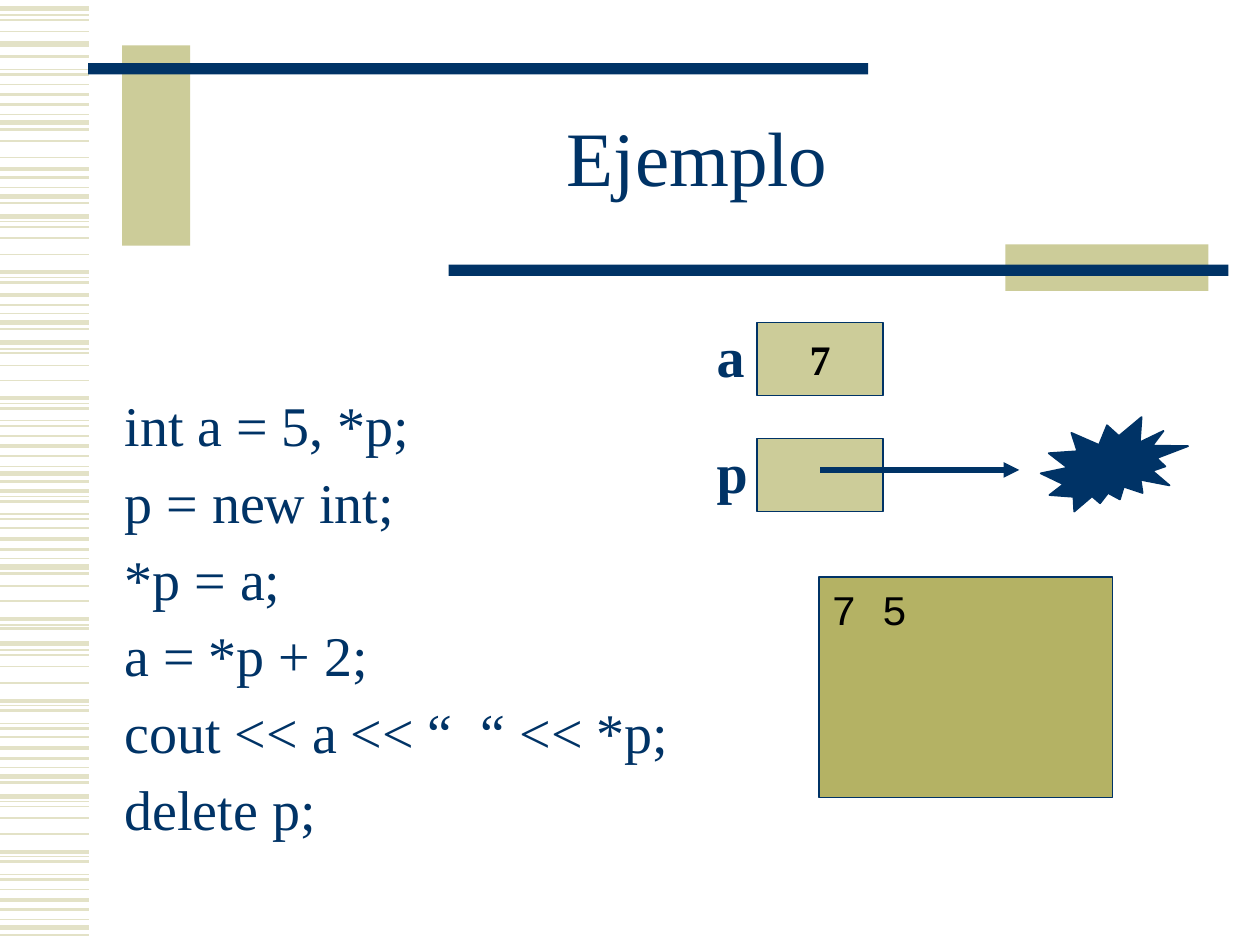
from lxml.etree import SubElement
from pptx import Presentation
from pptx.dml.color import RGBColor
from pptx.enum.shapes import MSO_CONNECTOR as Connector, MSO_SHAPE as Shape
from pptx.enum.text import MSO_ANCHOR as Anchor, PP_ALIGN as Align
from pptx.oxml.ns import qn
from pptx.util import Inches, Pt

THEME = {
    "navy": "003366", "sand": "CCCC99", "olive": "B4B264",
    "stripe": "E3E2C7", "black": "000000",
    "serif": "Times New Roman", "mono": "Courier New",
    "title": 44, "code": 32, "value": 24,
    "outline": 1, "pointer": 3,
}

WIDTH, HEIGHT = Inches(10), Inches(7.5)
COLUMNS, ROWS = 100, 75

TITLE = "Ejemplo"
CODE = [
    "int a = 5, *p;",
    "p = new int;",
    "*p = a;",
    "a = *p + 2;",
    "cout << a << “  “ << *p;",
    "delete p;",
]
OUTPUT = "7 5"
VARIABLES = [("a", "7", 25.6), ("p", "", 34.8)]

STRIPE_END = 7.1
STRIPE_ROWS = {
    0.75: [1.2, 5.5, 9.1, 14.9, 17.6, 22, 24.9, 27.7, 32, 33.4, 37, 39.4, 40.8,
           44.3, 49.6, 51.6, 56, 57.4, 60.9, 63.6, 68, 69.4, 73],
    1: [1.6, 2.5, 6.7, 11.2, 12.5, 18, 18.9, 20.2, 28, 29, 30.2, 34.6, 41.9,
        46.5, 47.7, 52, 52.9, 54.2, 58.5, 64, 64.9, 66.2, 70.6],
    1.5: [4.5, 5.9, 8.3, 10.3, 14.1, 16.1, 22.4, 24.2, 26.1, 32.4, 33.8, 36.2,
          38.2, 39.8, 41.2, 43.6, 45.5, 49.9, 56.4, 57.8, 60.2, 62.1, 68.4,
          69.8, 72.2, 74.2],
    2.25: [7.5, 13.4, 21.6, 23.4, 31.6, 35.4, 39, 42.8, 49.1, 55.6, 59.4,
           67.6, 71.4],
    3: [0.7, 3.5, 9.7, 15.6, 17.2, 25.6, 27.2, 37.6, 45, 51.1, 61.6, 63.2, 73.6],
}
BANDS = [
    ("sand", 9.7, 3.6, 5.4, 15.9),
    ("navy", 7, 5, 61.9, 0.9),
    ("sand", 79.8, 19.4, 16.1, 3.7),
    ("navy", 35.6, 21, 61.9, 0.9),
]
CELL_LEFT, CELL_WIDTH, CELL_HEIGHT = 60.1, 10, 5.8
LABEL_LEFT, LABEL_WIDTH, LABEL_HEIGHT, LABEL_RISE = 55.9, 4.3, 6.4, 0.55
POINTER_ROW, POINTER_END = 37.3, 80.9


def color(name):
    return RGBColor.from_string(THEME[name])


def col(count):
    return round(WIDTH * count / COLUMNS)


def row(count):
    return round(HEIGHT * count / ROWS)


def area(left, top, width, height):
    return col(left), row(top), col(width), row(height)


def add_block(slide, place, fill, outline=None, kind=Shape.RECTANGLE):
    block = slide.shapes.add_shape(kind, *area(*place))
    block.shadow.inherit = False
    block.fill.solid()
    block.fill.fore_color.rgb = color(fill)
    if outline:
        block.line.color.rgb = color(outline)
        block.line.width = Pt(THEME["outline"])
    else:
        block.line.fill.background()
    return block


def add_rule(slide, start, end, tone, weight):
    rule = slide.shapes.add_connector(
        Connector.STRAIGHT, col(start[0]), row(start[1]), col(end[0]), row(end[1]))
    rule.line.color.rgb = color(tone)
    rule.line.width = Pt(weight)
    SubElement(rule._element.spPr, qn("a:effectLst"))
    return rule


def write(holder, lines, size, tone="navy", face="serif", bold=False,
          align=Align.LEFT, anchor=Anchor.TOP, spacing=1, gap=0, wrap=True):
    frame = holder.text_frame
    frame.text = "\n".join(lines)
    frame.word_wrap = wrap
    frame.vertical_anchor = anchor
    for index, paragraph in enumerate(frame.paragraphs):
        paragraph.alignment = align
        paragraph.line_spacing = spacing
        paragraph.space_before = Pt(gap if index else 0)
        for run in paragraph.runs:
            run.font.name = THEME[face]
            run.font.size = Pt(THEME[size])
            run.font.bold = bold
            run.font.color.rgb = color(tone)


def add_background(slide):
    for weight, stripe_rows in STRIPE_ROWS.items():
        for level in stripe_rows:
            add_rule(slide, (0, level), (STRIPE_END, level), "stripe", weight)
    for tone, *place in BANDS:
        add_block(slide, place, tone)


def add_memory(slide):
    for name, value, top in VARIABLES:
        label = slide.shapes.add_textbox(
            *area(LABEL_LEFT, top - LABEL_RISE, LABEL_WIDTH, LABEL_HEIGHT))
        write(label, [name], "code", bold=True, wrap=False)
        cell = add_block(slide, (CELL_LEFT, top, CELL_WIDTH, CELL_HEIGHT), "sand", "navy")
        if value:
            write(cell, [value], "value", "black", bold=True,
                  align=Align.CENTER, anchor=Anchor.MIDDLE)
    pointer = add_rule(slide, (CELL_LEFT + CELL_WIDTH / 2, POINTER_ROW),
                       (POINTER_END, POINTER_ROW), "navy", THEME["pointer"])
    SubElement(pointer.line._get_or_add_ln(), qn("a:tailEnd"), type="triangle")
    add_block(slide, (82.6, 33.1, 11.7, 7.5), "navy", "navy", Shape.EXPLOSION2)


def main():
    deck = Presentation()
    deck.slide_width, deck.slide_height = WIDTH, HEIGHT
    slide = deck.slides.add_slide(deck.slide_layouts[6])
    add_background(slide)
    title = slide.shapes.add_textbox(*area(15, 6.7, 80.7, 12.5))
    write(title, [TITLE], "title", align=Align.CENTER, anchor=Anchor.MIDDLE, spacing=0.85)
    code = slide.shapes.add_textbox(*area(8.9, 31.1, 87, 35.5))
    write(code, CODE, "code", spacing=0.9, gap=9.3)
    console = add_block(slide, (65, 45.8, 23.3, 17.5), "olive", "navy")
    write(console, [OUTPUT], "value", "black", "mono")
    add_memory(slide)
    deck.save("out.pptx")


if __name__ == "__main__":
    main()
